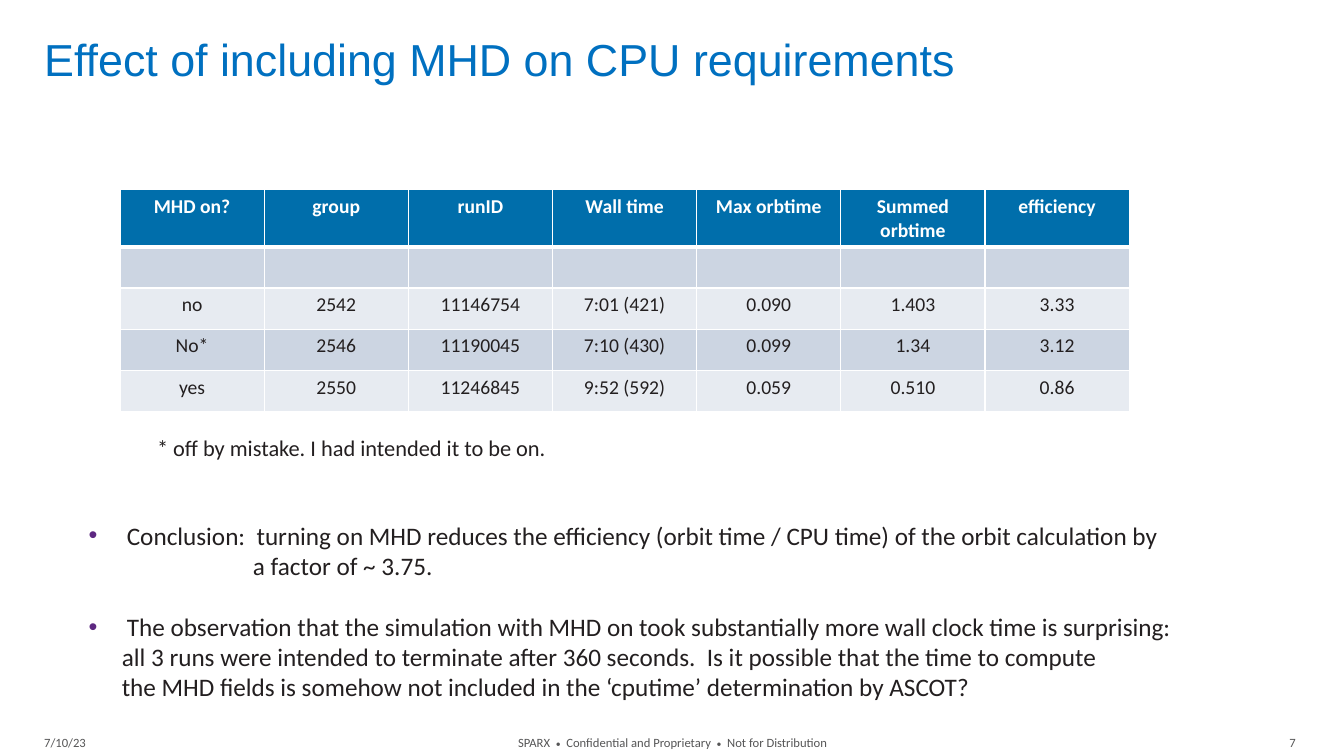
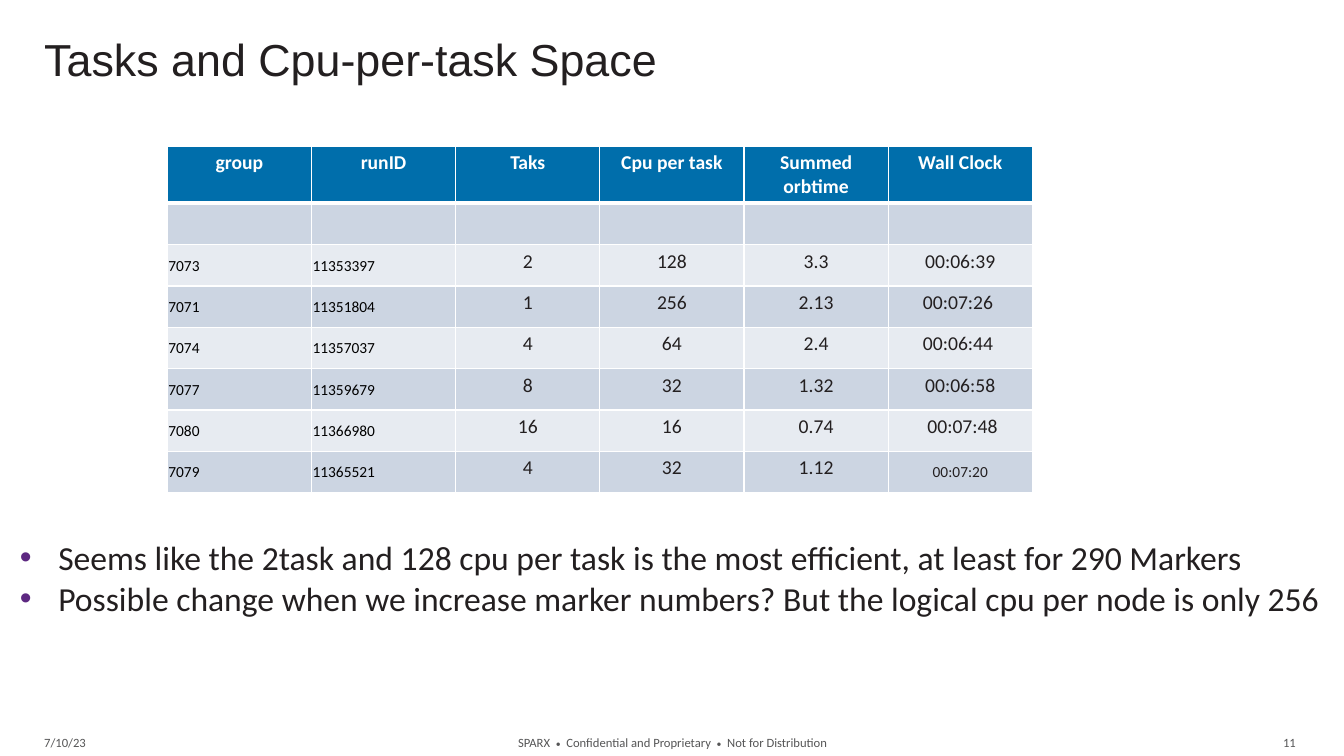
"""Build two slides on simulation run times, each with a table and conclusions."""
from dataclasses import dataclass

from lxml.etree import SubElement
from pptx import Presentation
from pptx.dml.color import RGBColor
from pptx.enum.text import MSO_ANCHOR as ANCHOR, PP_ALIGN as ALIGN
from pptx.oxml.ns import qn
from pptx.util import Inches, Pt


@dataclass(frozen=True)
class Theme:
    body_font: str = "Calibri"
    title_font: str = "Arial"
    ink: str = "231F20"
    black: str = "000000"
    white: str = "FFFFFF"
    title_blue: str = "0070C0"
    header: str = "006EAB"
    bands: tuple = ("CCD5E2", "E7EBF1")
    bullet: str = "5D2881"
    footer: str = "555556"
    title_size: int = 32
    cell_size: int = 14
    small_size: int = 11
    footer_size: int = 9
    dot_size: int = 7


THEME = Theme()
DATE = "7/10/23"
FOOTER = ["SPARX  ", "•", "  Confidential and Proprietary  ", "•", "  Not for Distribution"]
COL_W = 1.43
ROW_H = 0.41
HANG = 0.38

SLIDES = [
    dict(
        number="7",
        title="Effect of including MHD on CPU requirements",
        title_color=THEME.title_blue,
        table_at=(1.19, 1.88),
        rows=[
            ["MHD on?", "group", "runID", "Wall time", "Max orbtime", "Summed orbtime", "efficiency"],
            [""] * 7,
            ["no", "2542", "11146754", "7:01 (421)", "0.090", "1.403", "3.33"],
            ["No*", "2546", "11190045", "7:10 (430)", "0.099", "1.34", "3.12"],
            ["yes", "2550", "11246845", "9:52 (592)", "0.059", "0.510", "0.86"],
        ],
        small_left_cols=0,
        small_cells=[],
        texts=[
            dict(at=(1.46, 4.26, 6, 0.4), size=16, lines=[
                ("* off by mistake. I had intended it to be on.", 0, 0)]),
            dict(at=(0.78, 5.11, 12, 1.95), size=18, lines=[
                ("Conclusion:  turning on MHD reduces the efficiency (orbit time / CPU time) "
                 "of the orbit calculation by", None, 0),
                ("a factor of ~ 3.75.", 1.63, 0),
                ("The observation that the simulation with MHD on took substantially more "
                 "wall clock time is surprising:", None, 22),
                ("all 3 runs were intended to terminate after 360 seconds.  "
                 "Is it possible that the time to compute", 0.33, 0),
                ("the MHD fields is somehow not included in the ‘cputime’ "
                 "determination by ASCOT?", 0.33, 0)]),
        ],
    ),
    dict(
        number="11",
        title="Tasks and Cpu-per-task Space",
        title_color=THEME.ink,
        table_at=(1.66, 1.45),
        rows=[
            ["group", "runID", "Taks", "Cpu per task", "Summed orbtime", "Wall Clock"],
            [""] * 6,
            ["7073", "11353397", "2", "128", "3.3", "00:06:39"],
            ["7071", "11351804", "1", "256", "2.13", "00:07:26 "],
            ["7074", "11357037", "4", "64", "2.4", "00:06:44 "],
            ["7077", "11359679", "8", "32", "1.32", "00:06:58"],
            ["7080", "11366980", "16", "16", "0.74", " 00:07:48"],
            ["7079", "11365521", "4", "32", "1.12", "00:07:20"],
        ],
        small_left_cols=2,
        small_cells=[(7, 5)],
        texts=[
            dict(at=(0.1, 5.28, 13.2, 0.95), size=24, lines=[
                ("Seems like the 2task and 128 cpu per task is the most efficient, "
                 "at least for 290 Markers", None, 0),
                ("Possible change when we increase marker numbers? "
                 "But the logical cpu per node is only 256", None, 0)]),
        ],
    ),
]


def write(p, text, size, color=THEME.ink, font=THEME.body_font, bold=False, align=ALIGN.LEFT):
    p.alignment = align
    r = p.add_run()
    r.text = text
    r.font.size, r.font.name, r.font.bold = Pt(size), font, bold
    r.font.color.rgb = RGBColor.from_string(color)


def add_box(s, at, anchor=ANCHOR.TOP, inset=0.05):
    tf = s.shapes.add_textbox(*map(Inches, at)).text_frame
    tf.word_wrap = True
    tf.vertical_anchor = anchor
    tf.margin_top = tf.margin_bottom = Inches(inset)
    return tf


def set_indent(p, left, first=0):
    pPr = p._p.get_or_add_pPr()
    pPr.set("marL", str(Inches(left)))
    pPr.set("indent", str(Inches(first)))
    return pPr


def set_bullet(p):
    pPr = set_indent(p, HANG, -HANG)
    SubElement(SubElement(pPr, qn("a:buClr")), qn("a:srgbClr"), val=THEME.bullet)
    SubElement(pPr, qn("a:buFont"), typeface="Arial")
    SubElement(pPr, qn("a:buChar"), char="•")


def set_borders(cell, top, bottom):
    tcPr = cell._tc.get_or_add_tcPr()
    for side, width in zip("LRTB", (1, 1, top, bottom)):
        ln = SubElement(tcPr, qn(f"a:ln{side}"), w=str(Pt(width)))
        SubElement(SubElement(ln, qn("a:solidFill")), qn("a:srgbClr"), val=THEME.white)


def add_lines(s, at, size, lines):
    tf = add_box(s, at)
    for i, (text, indent, gap) in enumerate(lines):
        p = tf.add_paragraph() if i else tf.paragraphs[0]
        write(p, text, size)
        p.space_before = Pt(gap)
        if indent is None:
            set_bullet(p)
        else:
            set_indent(p, indent)


def add_grid(s, at, rows, small_left_cols, small_cells):
    n_rows, n_cols = len(rows), len(rows[0])
    size = (n_cols * COL_W, n_rows * ROW_H)
    table = s.shapes.add_table(n_rows, n_cols, *map(Inches, at + size)).table
    for col in table.columns:
        col.width = Inches(COL_W)
    for i, row in enumerate(rows):
        table.rows[i].height = Inches(ROW_H)
        for j, text in enumerate(row):
            cell = table.cell(i, j)
            set_borders(cell, top=3 if i == 1 else 1, bottom=1 if i else 3)
            cell.fill.solid()
            fill = THEME.bands[(i - 1) % 2] if i else THEME.header
            cell.fill.fore_color.rgb = RGBColor.from_string(fill)
            left = i > 1 and j < small_left_cols
            small = left or (i, j) in small_cells
            if small:
                cell.vertical_anchor = ANCHOR.MIDDLE
                cell.margin_left = cell.margin_right = cell.margin_top = Inches(0.01)
                cell.margin_bottom = 0
            if text:
                write(cell.text_frame.paragraphs[0], text,
                      THEME.small_size if small else THEME.cell_size,
                      color=THEME.white if i == 0 else THEME.black if left else THEME.ink,
                      bold=i == 0, align=ALIGN.LEFT if left else ALIGN.CENTER)


def add_frame(s, title, title_color, number):
    p = add_box(s, (0.34, 0.33, 11.72, 0.69)).paragraphs[0]
    write(p, title, THEME.title_size, color=title_color, font=THEME.title_font)
    p.line_spacing = 0.9
    footers = [
        (0.34, 4.72, [DATE], ALIGN.LEFT),
        (4.31, 4.72, FOOTER, ALIGN.CENTER),
        (11.04, 1.91, [number], ALIGN.RIGHT),
    ]
    for left, width, parts, align in footers:
        p = add_box(s, (left, 7.22, width, 0.29), ANCHOR.MIDDLE, inset=0).paragraphs[0]
        for part in parts:
            size = THEME.dot_size if part == "•" else THEME.footer_size
            write(p, part, size, color=THEME.footer, align=align)


def main():
    prs = Presentation()
    prs.slide_width, prs.slide_height = Inches(13.33), Inches(7.5)
    for page in SLIDES:
        s = prs.slides.add_slide(prs.slide_layouts[6])
        add_frame(s, page["title"], page["title_color"], page["number"])
        add_grid(s, page["table_at"], page["rows"], page["small_left_cols"], page["small_cells"])
        for block in page["texts"]:
            add_lines(s, **block)
    prs.save("out.pptx")


if __name__ == "__main__":
    main()
